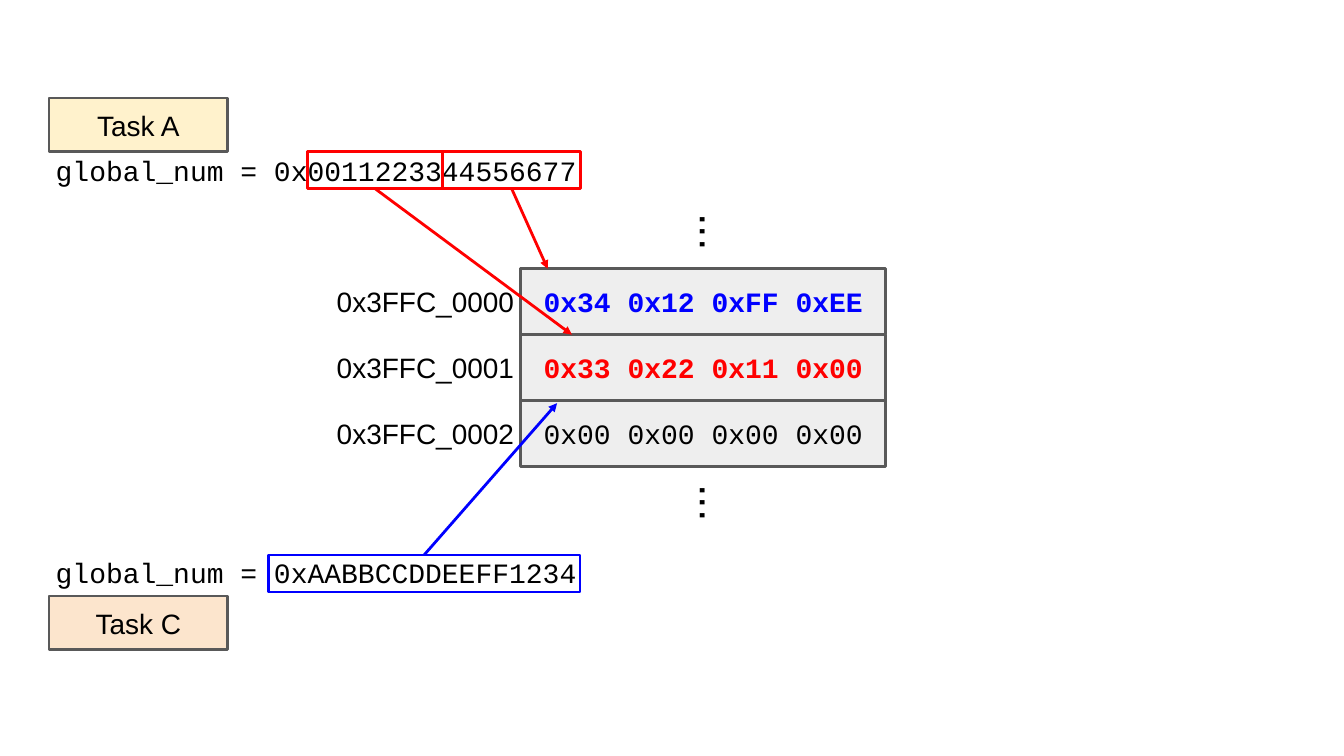
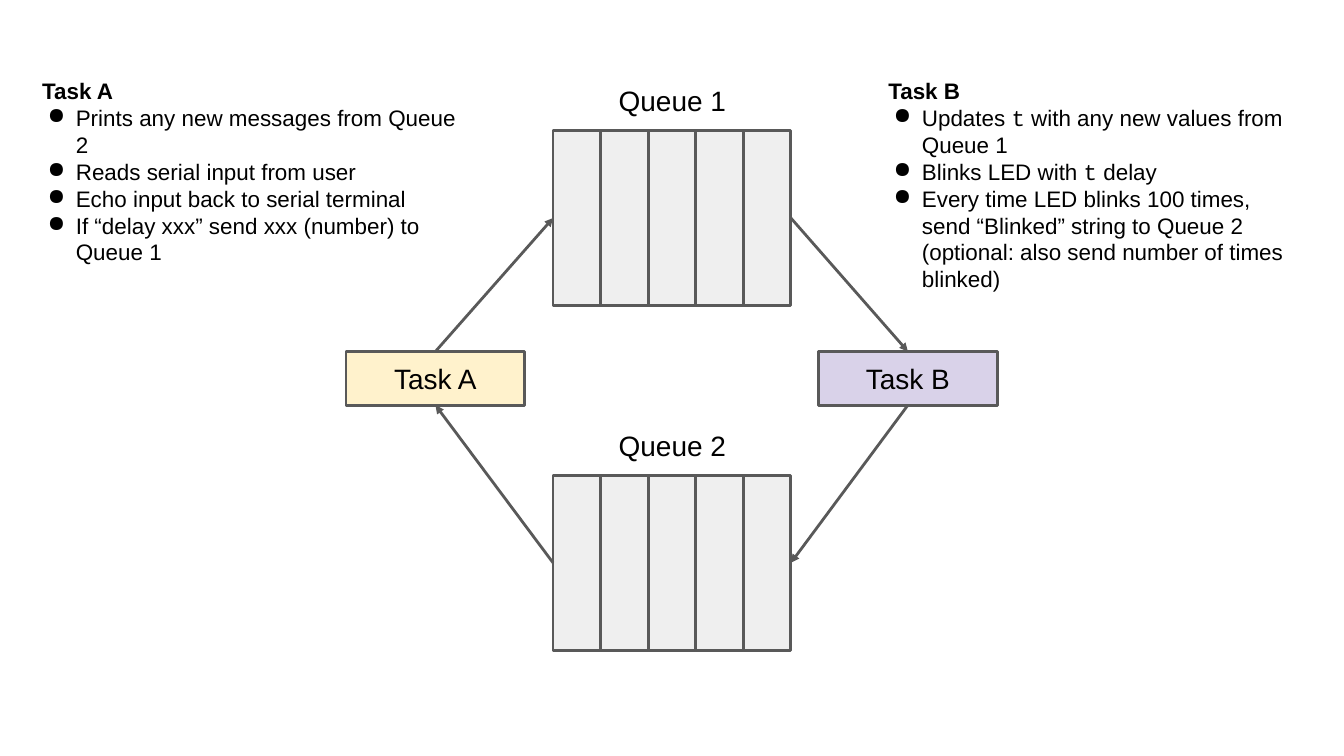
from dataclasses import dataclass

from lxml.etree import SubElement
from pptx import Presentation
from pptx.dml.color import RGBColor
from pptx.enum.shapes import MSO_CONNECTOR, MSO_SHAPE
from pptx.enum.text import MSO_ANCHOR, MSO_AUTO_SIZE, PP_ALIGN
from pptx.oxml.ns import qn
from pptx.shapes.autoshape import Shape
from pptx.shapes.connector import Connector
from pptx.slide import Slide
from pptx.util import Inches, Pt

# Shared look
SANS, MONO = "Arial", "Courier New"
BLACK, GREY, RED, BLUE = "000000", "595959", "FF0000", "0000FF"
CREAM, PEACH, LILAC = "FFF2CC", "FCE5CD", "D9D2E9"
ROW_FILL, CELL_FILL = "EEEEEE", "EFEFEF"
STROKE = 3
TASK_W, TASK_H = 2.66, 0.8
TOP, LEFT, BOTTOM, RIGHT = range(4)


@dataclass(frozen=True)
class Area:
    x: float
    y: float
    w: float
    h: float


@dataclass(frozen=True)
class Style:
    font: str = SANS
    size: int = 30
    color: str = BLACK
    bold: bool = False
    align: PP_ALIGN = PP_ALIGN.CENTER


@dataclass(frozen=True)
class Row:
    label: str
    data: str
    style: Style


@dataclass(frozen=True)
class Notes:
    x: float
    h: float
    title: str
    items: tuple[str, ...]


@dataclass(frozen=True)
class Queue:
    name: str
    y: float


def rgb(color: str) -> RGBColor:
    return RGBColor.from_string(color)


def inset(shape: Shape) -> None:
    frame = shape.text_frame
    frame.word_wrap = True
    frame.margin_left = frame.margin_right = Inches(0.1)
    frame.margin_top = frame.margin_bottom = Inches(0.1)


def write(shape: Shape, text: str, style: Style) -> None:
    inset(shape)
    shape.text_frame.text = text
    para = shape.text_frame.paragraphs[0]
    para.alignment = style.align
    for run in para.runs:
        paint(run.font, style)


def paint(font, style: Style) -> None:
    font.name = style.font
    font.size = Pt(style.size)
    font.bold = style.bold
    font.color.rgb = rgb(style.color)


def add_box(slide: Slide, area: Area, fill: str = "", line: str = GREY,
            text: str = "", style: Style = Style()) -> Shape:
    box = slide.shapes.add_shape(
        MSO_SHAPE.RECTANGLE, Inches(area.x), Inches(area.y),
        Inches(area.w), Inches(area.h))
    box.shadow.inherit = False
    if fill:
        box.fill.solid()
        box.fill.fore_color.rgb = rgb(fill)
    else:
        box.fill.background()
    box.line.color.rgb = rgb(line)
    box.line.width = Pt(STROKE)
    if text:
        write(box, text, style)
        box.text_frame.vertical_anchor = MSO_ANCHOR.MIDDLE
    return box


def add_task(slide: Slide, x: float, y: float, name: str, fill: str) -> Shape:
    return add_box(slide, Area(x, y, TASK_W, TASK_H), fill, text=name)


def add_text(slide: Slide, area: Area, text: str, style: Style = Style(),
             middle: bool = False) -> Shape:
    box = slide.shapes.add_textbox(
        Inches(area.x), Inches(area.y), Inches(area.w), Inches(area.h))
    write(box, text, style)
    frame = box.text_frame
    if middle:
        frame.vertical_anchor = MSO_ANCHOR.MIDDLE
    else:
        frame.auto_size = MSO_AUTO_SIZE.SHAPE_TO_FIT_TEXT
    return box


def add_arrow(slide: Slide, start: Shape, side: int, x: float = 0,
              y: float = 0, color: str = GREY) -> Connector:
    line = slide.shapes.add_connector(
        MSO_CONNECTOR.STRAIGHT, 0, 0, Inches(x), Inches(y))
    line.begin_connect(start, side)
    line.line.color.rgb = rgb(color)
    line.line.width = Pt(STROKE)
    SubElement(line.line._get_or_add_ln(), qn("a:tailEnd"), type="triangle")
    SubElement(line._element.spPr, qn("a:effectLst"))
    return line


def add_link(slide: Slide, start: Shape, side: int,
             end: Shape, goal: int) -> None:
    add_arrow(slide, start, side).end_connect(end, goal)


def add_notes(slide: Slide, notes: Notes) -> None:
    head = Style(size=24, bold=True, align=PP_ALIGN.LEFT)
    box = add_text(slide, Area(notes.x, 1.05, 6.35, notes.h),
                   notes.title, head)
    for item in notes.items:
        para = box.text_frame.add_paragraph()
        props = para._p.get_or_add_pPr()
        props.set("marL", str(Inches(0.5)))
        props.set("indent", str(-Inches(0.42)))
        tint = SubElement(props, qn("a:buClr"))
        SubElement(tint, qn("a:srgbClr"), val=BLACK)
        SubElement(props, qn("a:buChar"), char="●")
        # Backticks enclose code words
        for i, part in enumerate(item.split("`")):
            run = para.add_run()
            run.text = part
            paint(run.font, Style(MONO if i % 2 else SANS, 24))


def add_queue(slide: Slide, queue: Queue) -> tuple[Shape, Shape]:
    """Draw the cells and return the first and the last."""
    x, width, count = 8.23, 3.54, 5
    step = width / count
    cells = [add_box(slide, Area(x + i * step, queue.y, step, 2.61), CELL_FILL)
             for i in range(count)]
    add_text(slide, Area(8.8, queue.y - 0.89, 2.41, 0.89), queue.name,
             middle=True)
    return cells[0], cells[-1]


def draw_memory(slide: Slide) -> None:
    add_task(slide, 0.73, 1.46, "Task A", CREAM)
    add_task(slide, 0.73, 8.87, "Task C", PEACH)

    # Memory rows
    rows = (
        Row("0x3FFC_0000", "0x34 0x12 0xFF 0xEE", Style(MONO, 30, BLUE, True)),
        Row("0x3FFC_0001", "0x33 0x22 0x11 0x00", Style(MONO, 30, RED, True)),
        Row("0x3FFC_0002", "0x00 0x00 0x00 0x00", Style(MONO)),
    )
    for i, row in enumerate(rows):
        y = 3.99 + i * 0.985
        add_box(slide, Area(7.75, y, 5.43, 0.98), ROW_FILL,
                text=row.data, style=row.style)
        add_text(slide, Area(4.12, y + 0.14, 3.63, 0.7), row.label,
                 Style(align=PP_ALIGN.RIGHT))
    for y in (2.95, 6.98):
        dots = add_text(slide, Area(10.14, y, 1.08, 1.01), "...",
                        Style(size=48), middle=True)
        dots.rotation = 90

    # Assigned values
    code = Style(MONO, align=PP_ALIGN.LEFT)
    for y, value in ((2.18, "0x0011223344556677"),
                     (8.16, "0xAABBCCDDEEFF1234")):
        add_text(slide, Area(0.73, y, 10.12, 0.7), f"global_num = {value}",
                 code)

    # Marked halves and their targets
    high = add_box(slide, Area(4.58, 2.26, 2.01, 0.55), line=RED)
    low = add_box(slide, Area(6.59, 2.26, 2.05, 0.55), line=RED)
    whole = add_box(slide, Area(3.99, 8.26, 4.64, 0.55), line=BLUE)
    add_arrow(slide, high, BOTTOM, 8.51, 4.98, RED)
    add_arrow(slide, low, BOTTOM, 8.15, 4, RED)
    add_arrow(slide, whole, TOP, 8.29, 6, BLUE)


def draw_queues(slide: Slide) -> None:
    task_a = add_task(slide, 5.15, 5.23, "Task A", CREAM)
    task_b = add_task(slide, 12.18, 5.23, "Task B", LILAC)
    first1, last1 = add_queue(slide, Queue("Queue 1", 1.94))
    first2, last2 = add_queue(slide, Queue("Queue 2", 7.07))

    # Task descriptions
    add_notes(slide, Notes(0.53, 3, "Task A", (
        "Prints any new messages from Queue 2",
        "Reads serial input from user",
        "Echo input back to serial terminal",
        "If “delay xxx” send xxx (number) to Queue 1",
    )))
    add_notes(slide, Notes(13.12, 3.4, "Task B", (
        "Updates `t` with any new values from Queue 1",
        "Blinks LED with `t` delay",
        "Every time LED blinks 100 times, send “Blinked” string to Queue 2 "
        "(optional: also send number of times blinked)",
    )))

    # Message loop
    add_link(slide, task_a, TOP, first1, LEFT)
    add_link(slide, last1, RIGHT, task_b, TOP)
    add_link(slide, task_b, BOTTOM, last2, RIGHT)
    add_link(slide, first2, LEFT, task_a, BOTTOM)


def main() -> None:
    deck = Presentation()
    deck.slide_width, deck.slide_height = Inches(20), Inches(11.25)
    blank = deck.slide_layouts[6]
    for draw in (draw_memory, draw_queues):
        draw(deck.slides.add_slide(blank))
    deck.save("out.pptx")


if __name__ == "__main__":
    main()
